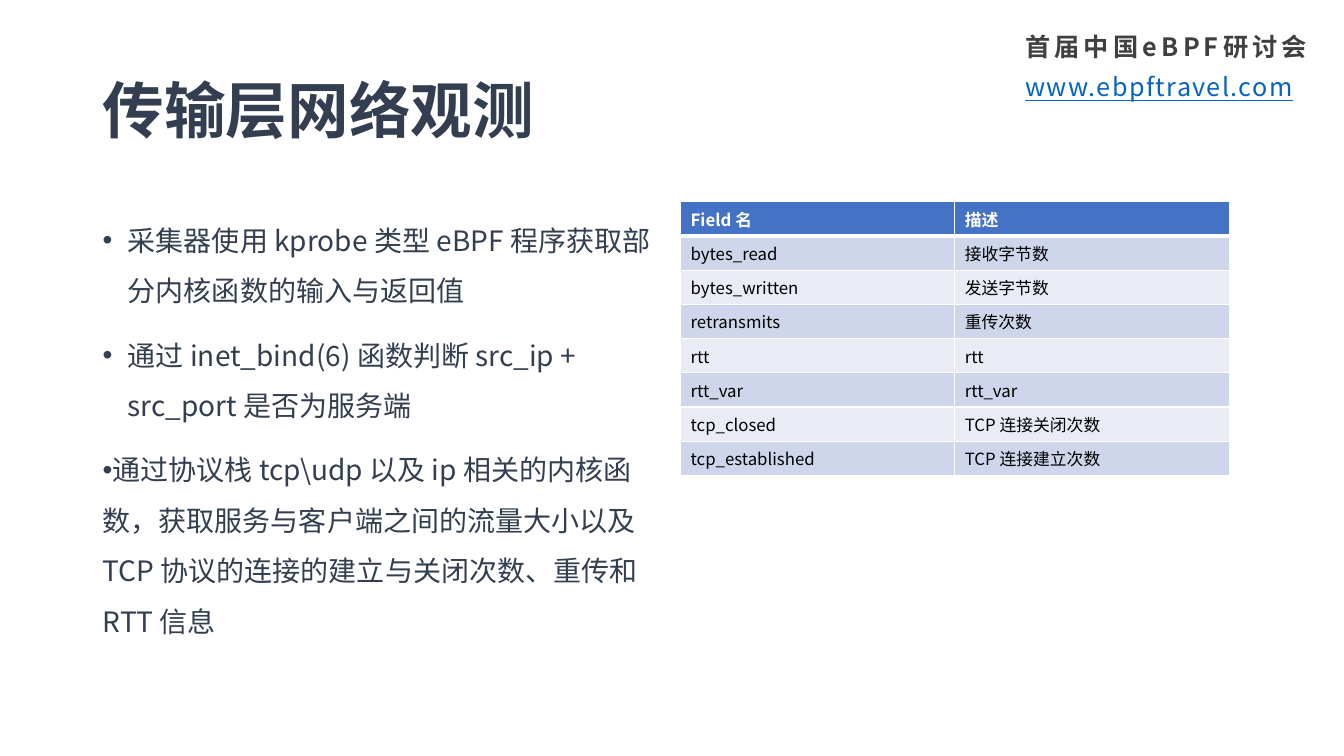
from dataclasses import dataclass
from lxml.etree import SubElement as Sub
from pptx import Presentation as Deck
from pptx.dml.color import RGBColor as Rgb
from pptx.enum.text import MSO_ANCHOR as Anchor
from pptx.oxml.ns import qn
from pptx.util import Inches, Pt


@dataclass(frozen=True)
class Theme:
    font: str = "Noto Sans CJK SC"
    ink: str = "333F50"
    gray: str = "404040"
    link: str = "0563C1"
    head: str = "4472C4"
    bands: tuple = ("CFD5EA", "E9EBF5")
    white: str = "FFFFFF"
    black: str = "000000"
    title: int = 44
    body: int = 20
    brand: int = 18
    cell: int = 12


def write(para, text, size, color, font, bold=False, under=False, gap=0):
    run = para.add_run()
    run.text = text
    face = run.font
    face.size = Pt(size)
    face.bold = bold
    face.underline = under
    face.color.rgb = Rgb.from_string(color)
    face.name = font
    props = run._r.get_or_add_rPr()
    Sub(props, qn("a:ea"), typeface=font)
    if gap:
        props.set("spc", str(gap * 100))


class Page:
    def __init__(self, slide, theme):
        self.slide = slide
        self.theme = theme

    def frame(self, left, top, width, height, anchor=Anchor.TOP):
        box = self.slide.shapes.add_textbox(
            Inches(left), Inches(top), Inches(width), Inches(height))
        box.text_frame.word_wrap = True
        box.text_frame.vertical_anchor = anchor
        return box.text_frame

    def label(self, text, place, anchor=Anchor.TOP, lead=1.0, **style):
        para = self.frame(*place, anchor=anchor).paragraphs[0]
        para.line_spacing = lead
        write(para, text, font=self.theme.font, **style)

    def points(self, items, place):
        frame = self.frame(*place)
        for i, (text, margin) in enumerate(items):
            para = frame.add_paragraph() if i else frame.paragraphs[0]
            para.line_spacing = 1.5
            para.space_before = Pt(10)
            props = para._p.get_or_add_pPr()
            props.set("marL", str(Inches(margin)))
            props.set("indent", str(Inches(-0.25)))
            Sub(props, qn("a:buFont"), typeface="Arial")
            Sub(props, qn("a:buChar"), char="•")
            write(para, text, self.theme.body, self.theme.ink, self.theme.font)

    def border(self, cell, row):
        props = cell._tc.get_or_add_tcPr()
        thick = {"T": 3 if row == 1 else 1, "B": 3 if row == 0 else 1}
        for i, side in enumerate("LRTB"):
            line = Sub(props, qn("a:ln" + side), w=str(Pt(thick.get(side, 1))))
            fill = Sub(line, qn("a:solidFill"))
            Sub(fill, qn("a:srgbClr"), val=self.theme.white)
            props.insert(i, line)

    def table(self, rows, left, top, widths, height):
        look = self.theme
        shape = self.slide.shapes.add_table(
            len(rows), len(widths), Inches(left), Inches(top),
            Inches(sum(widths)), Inches(height * len(rows)))
        grid = shape.table
        for col, width in zip(grid.columns, widths):
            col.width = Inches(width)
        for r, row in enumerate(rows):
            grid.rows[r].height = Inches(height)
            for c, text in enumerate(row):
                cell = grid.cell(r, c)
                cell.fill.solid()
                shade = look.bands[(r - 1) % 2] if r else look.head
                cell.fill.fore_color.rgb = Rgb.from_string(shade)
                self.border(cell, r)
                write(cell.text_frame.paragraphs[0], text, look.cell,
                      look.black if r else look.white, look.font, bold=r == 0)


POINTS = [
    ("采集器使用 kprobe 类型 eBPF 程序获取部分内核函数的输入与返回值", 0.25),
    ("通过 inet_bind(6) 函数判断 src_ip + src_port 是否为服务端", 0.25),
    ("通过协议栈 tcp\\udp 以及 ip 相关的内核函数，获取服务与客户端之间的"
     "流量大小以及 TCP 协议的连接的建立与关闭次数、重传和 RTT 信息", 0),
]
FIELDS = [
    ("Field 名", "描述"),
    ("bytes_read", "接收字节数"),
    ("bytes_written", "发送字节数"),
    ("retransmits", "重传次数"),
    ("rtt", "rtt"),
    ("rtt_var", "rtt_var"),
    ("tcp_closed", "TCP 连接关闭次数"),
    ("tcp_established", "TCP 连接建立次数"),
]


def main():
    deck = Deck()
    deck.slide_width = Inches(13.33)
    deck.slide_height = Inches(7.5)
    look = Theme()
    page = Page(deck.slides.add_slide(deck.slide_layouts[6]), look)
    page.label("首届中国eBPF研讨会", (10.07, 0.26, 3.17, 0.4),
               size=look.brand, color=look.gray, bold=True, gap=3)
    page.label("www.ebpftravel.com", (10.07, 0.66, 3.17, 0.4),
               size=look.brand, color=look.link, under=True, gap=1)
    page.label("传输层网络观测", (0.92, 0.4, 11.5, 1.45), Anchor.MIDDLE, 0.9,
               size=look.title, color=look.ink, bold=True)
    page.points(POINTS, (0.92, 2, 5.67, 4.76))
    page.table(FIELDS, 6.75, 2, (2.72, 2.73), 0.34)
    deck.save("out.pptx")


if __name__ == "__main__":
    main()
